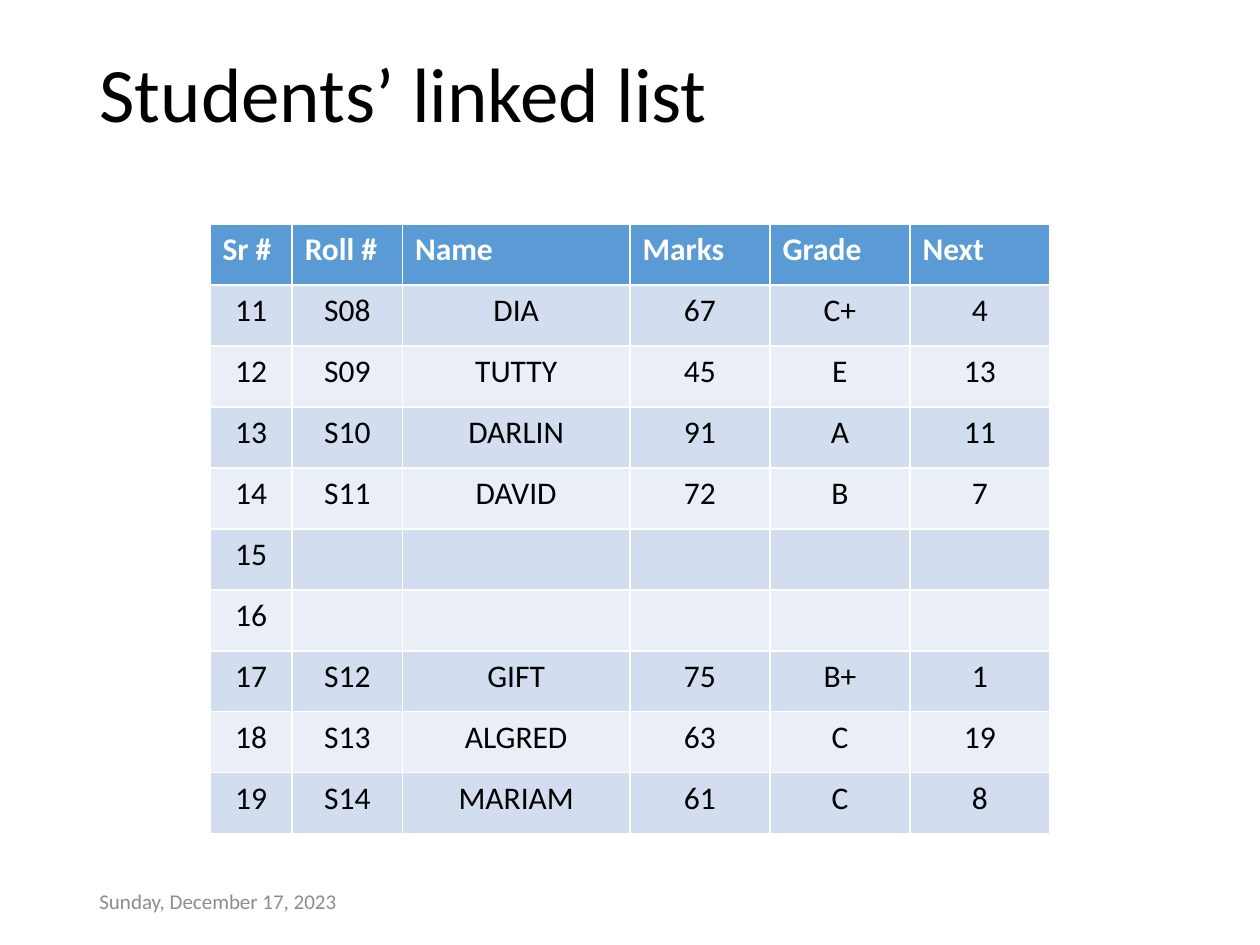
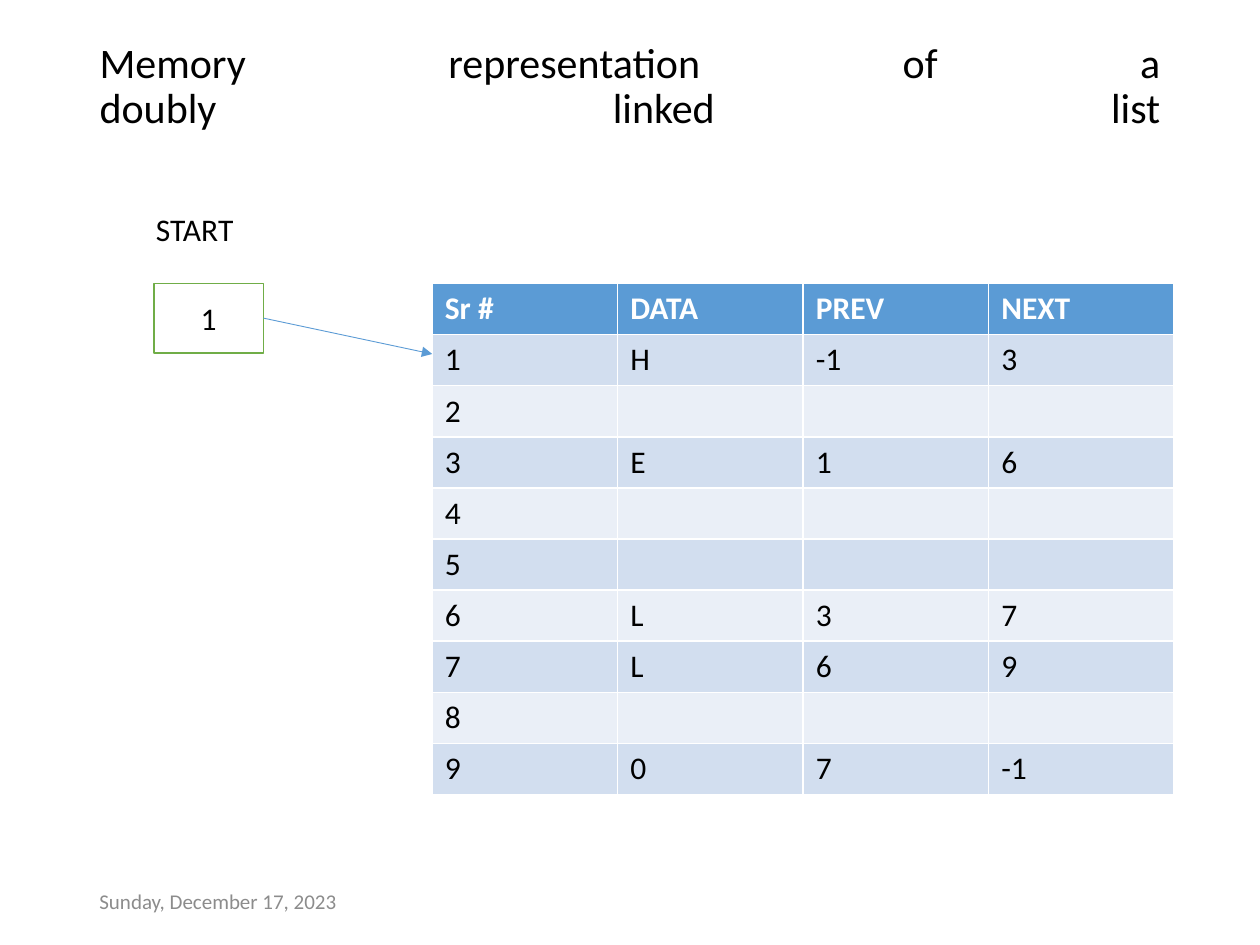
from pptx import Presentation
from pptx.dml.color import RGBColor
from pptx.enum.shapes import MSO_CONNECTOR as Connector, MSO_SHAPE as Shape
from pptx.enum.text import MSO_ANCHOR as Anchor, MSO_AUTO_SIZE as AutoSize, PP_ALIGN as Align
from pptx.oxml.ns import qn
from pptx.util import Pt
from lxml.etree import SubElement

BLACK = RGBColor(0x00, 0x00, 0x00)
WHITE = RGBColor(0xFF, 0xFF, 0xFF)
GREY = RGBColor(0x8C, 0x8C, 0x8C)
BLUE = RGBColor(0x5B, 0x9B, 0xD5)
GREEN = RGBColor(0x70, 0xAD, 0x47)
BANDS = (RGBColor(0xD2, 0xDE, 0xEF), RGBColor(0xEA, 0xEF, 0xF7))

FONT = "Calibri"
BODY_SIZE = 18
MARGIN = 49.7
TITLE_WIDTH = 620.6
TITLE_ONLY = 5
DATE = "Sunday, December 17, 2023"

STUDENT_COLUMNS = (47, 63, 130, 80, 80, 80)
STUDENTS = (
    ("Sr #", "Roll #", "Name", "Marks", "Grade", "Next"),
    ("11", "S08", "DIA", "67", "C+", "4"),
    ("12", "S09", "TUTTY", "45", "E", "13"),
    ("13", "S10", "DARLIN", "91", "A", "11"),
    ("14", "S11", "DAVID", "72", "B", "7"),
    ("15", "", "", "", "", ""),
    ("16", "", "", "", "", ""),
    ("17", "S12", "GIFT", "75", "B+", "1"),
    ("18", "S13", "ALGRED", "63", "C", "19"),
    ("19", "S14", "MARIAM", "61", "C", "8"),
)

MEMORY_COLUMNS = (106,) * 4
MEMORY = (
    ("Sr #", "DATA", "PREV", "NEXT"),
    ("1", "H", "-1", "3"),
    ("2", "", "", ""),
    ("3", "E", "1", "6"),
    ("4", "", "", ""),
    ("5", "", "", ""),
    ("6", "L", "3", "7"),
    ("7", "L", "6", "9"),
    ("8", "", "", ""),
    ("9", "0", "7", "-1"),
)


class Deck:
    """Holds the shared style and the slide being filled."""

    def __init__(self):
        self.presentation = Presentation()
        self.presentation.slide_width = Pt(720)
        self.presentation.slide_height = Pt(540)
        self.slide = None

    def set_text(self, frame, text, size=BODY_SIZE, color=BLACK, bold=False, align=Align.LEFT):
        frame.text = text
        paragraph = frame.paragraphs[0]
        paragraph.alignment = align
        for run in paragraph.runs:
            run.font.name = FONT
            run.font.size = Pt(size)
            run.font.bold = bold
            run.font.color.rgb = color
        return paragraph

    def add_slide(self, title, size, height, align=Align.LEFT):
        """Start a slide with its title and the date in the footer."""
        layout = self.presentation.slide_layouts[TITLE_ONLY]
        self.slide = self.presentation.slides.add_slide(layout)
        heading = self.slide.shapes.title
        heading.left, heading.top = Pt(MARGIN), Pt(28.8)
        heading.width, heading.height = Pt(TITLE_WIDTH), Pt(height)
        frame = heading.text_frame
        frame.auto_size = AutoSize.NONE
        frame.vertical_anchor = Anchor.MIDDLE
        paragraph = self.set_text(frame, title, size, align=align)
        paragraph.line_spacing = 0.9
        # Line breaks and the end of the paragraph need the title's size too
        for line_break in paragraph._p.findall(qn("a:br")):
            SubElement(line_break, qn("a:rPr"), sz=str(size * 100))
        SubElement(paragraph._p, qn("a:endParaRPr"), sz=str(size * 100))
        self.text(DATE, MARGIN, 500.5, 162, 28.8, size=12, color=GREY, anchor=Anchor.MIDDLE)

    def text(self, words, left, top, width, height, anchor=Anchor.TOP, **style):
        frame = self.slide.shapes.add_textbox(Pt(left), Pt(top), Pt(width), Pt(height)).text_frame
        frame.word_wrap = True
        frame.vertical_anchor = anchor
        self.set_text(frame, words, **style)

    def table(self, rows, left, top, columns, row_height, align=Align.LEFT):
        """Add a banded table; align applies to the rows below the header."""
        grid = self.slide.shapes.add_table(
            len(rows), len(columns), Pt(left), Pt(top),
            Pt(sum(columns)), Pt(row_height * len(rows))).table
        for column, width in zip(grid.columns, columns):
            column.width = Pt(width)
        for r, values in enumerate(rows):
            grid.rows[r].height = Pt(row_height)
            header = r == 0
            for c, value in enumerate(values):
                cell = grid.cell(r, c)
                cell.fill.solid()
                cell.fill.fore_color.rgb = BLUE if header else BANDS[(r - 1) % 2]
                self.set_text(cell.text_frame, value, color=WHITE if header else BLACK,
                              bold=header, align=Align.LEFT if header else align)

    def box(self, label, left, top, width, height):
        box = self.slide.shapes.add_shape(
            Shape.RECTANGLE, Pt(left), Pt(top), Pt(width), Pt(height))
        box.shadow.inherit = False
        box.fill.solid()
        box.fill.fore_color.rgb = WHITE
        box.line.color.rgb = GREEN
        box.line.width = Pt(1)
        box.text_frame.vertical_anchor = Anchor.MIDDLE
        self.set_text(box.text_frame, label, align=Align.CENTER)
        return box

    def arrow_from(self, box, x, y):
        """Draw an arrow from the right side of a box to a point."""
        arrow = self.slide.shapes.add_connector(
            Connector.STRAIGHT, box.left + box.width, box.top + box.height // 2, Pt(x), Pt(y))
        arrow.begin_connect(box, 3)
        arrow.line.color.rgb = BLUE
        arrow.line.width = Pt(0.5)
        properties = arrow._element.spPr
        SubElement(properties.find(qn("a:ln")), qn("a:tailEnd"), type="triangle")
        SubElement(properties, qn("a:effectLst"))


def main():
    deck = Deck()

    deck.add_slide("Students’ linked list", size=44, height=54)
    deck.table(STUDENTS, 120, 128, STUDENT_COLUMNS, row_height=34.85, align=Align.CENTER)

    deck.add_slide("Memory representation of a\vdoubly linked list\v",
                   size=24, height=71.3, align=Align.JUSTIFY)
    table_left = 247
    deck.table(MEMORY, table_left, 162, MEMORY_COLUMNS, row_height=29.2)
    start = deck.box("1", 88, 162, 62.6, 39.6)
    deck.arrow_from(start, table_left, 202.3)
    deck.text("START", 82, 116.6, 79.2, 28.8)

    deck.presentation.save("out.pptx")


if __name__ == "__main__":
    main()
